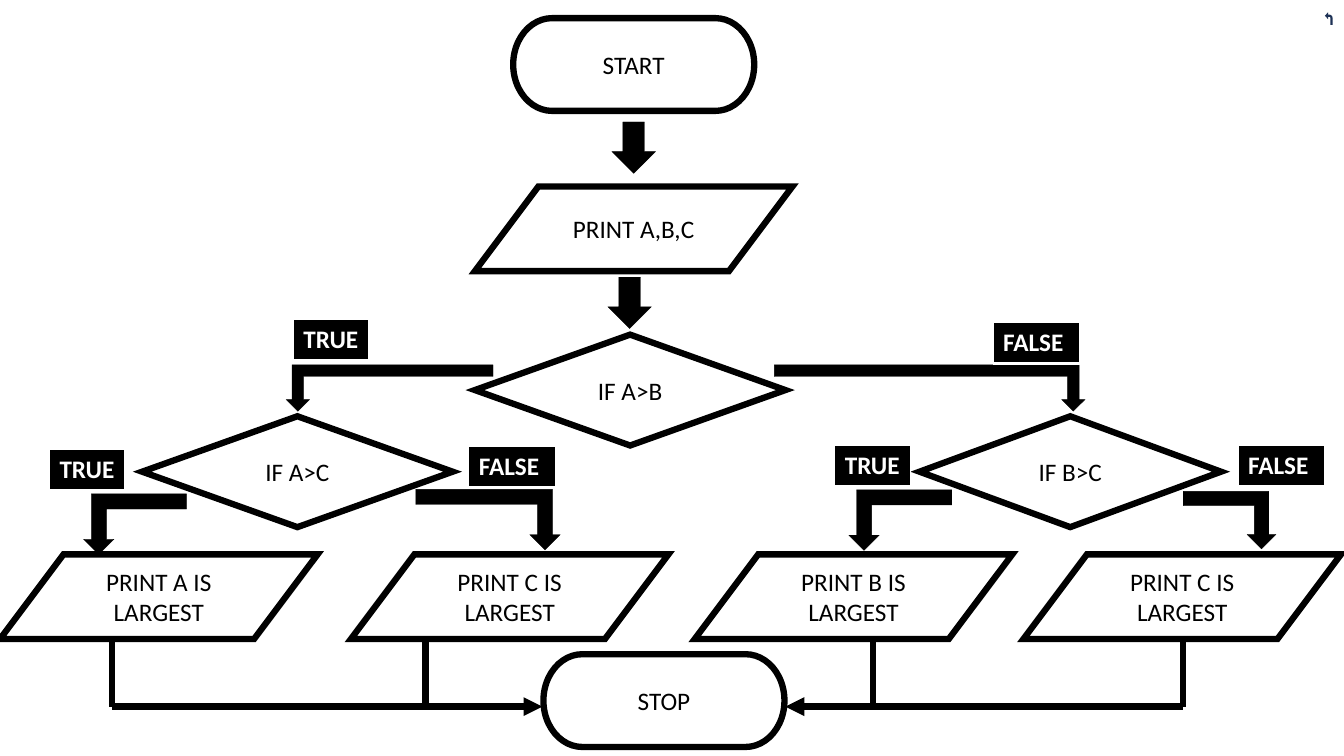
from typing import NamedTuple

from lxml.etree import SubElement
from pptx import Presentation
from pptx.dml.color import RGBColor
from pptx.enum.shapes import MSO_CONNECTOR, MSO_SHAPE
from pptx.enum.text import MSO_ANCHOR, PP_ALIGN
from pptx.oxml.ns import qn
from pptx.util import Emu, Pt

SCALE = 9144  # EMU in one px, 100 px to the inch
BLACK, WHITE = "000000", "FFFFFF"
BLUE, NAVY = "4472C4", "1E3256"
FONT = "Calibri"

END = MSO_SHAPE.FLOWCHART_TERMINATOR
DATA = MSO_SHAPE.FLOWCHART_DATA
TEST = MSO_SHAPE.FLOWCHART_DECISION
DOWN = MSO_SHAPE.DOWN_ARROW
BENT = MSO_SHAPE.BENT_ARROW
BENT_UP = MSO_SHAPE.BENT_UP_ARROW
SHARP = (0.25, 0.25, 0.25, 0)

BOX = {END: (239, 92), DATA: (315, 84), TEST: (308, 110)}
WIDTH = {"TRUE": 75, "FALSE": 86}
RAIL, BASE = 701, 634  # height of the line into STOP, foot of the outputs


class Node(NamedTuple):
    kind: MSO_SHAPE
    left: int
    top: int
    text: str
    wide: int = 0


class Arrow(NamedTuple):
    kind: MSO_SHAPE
    left: int
    top: int
    wide: int
    high: int
    turn: int = 0
    adjust: tuple = ()
    fill: str = BLACK
    line: str = BLACK
    weight: float = 0.25
    flip: bool = False


class Wire(NamedTuple):
    start: tuple
    stop: tuple
    head: bool = False


class Label(NamedTuple):
    left: int
    top: int
    text: str


NODES = [
    Node(END, 509, 18, "START"),
    Node(DATA, 471, 185, "PRINT A,B,C"),
    Node(TEST, 471, 332, "IF A>B"),
    Node(TEST, 912, 413, "IF B>C", 299),
    Node(TEST, 141, 413, "IF A>C"),
    Node(DATA, 348, 550, "PRINT C IS LARGEST"),
    Node(DATA, 0, 550, "PRINT A IS LARGEST"),
    Node(DATA, 1015, 550, "PRINT C IS LARGEST"),
    Node(DATA, 689, 550, "PRINT B IS LARGEST"),
    Node(END, 539, 649, "STOP"),
]
ARROWS = [
    Arrow(DOWN, 607, 121, 43, 51),
    Arrow(DOWN, 603, 275, 43, 51),
    Arrow(BENT_UP, 842, 486, 102, 60, 180),
    Arrow(BENT_UP, 83, 490, 102, 60, 180),
    Arrow(BENT_UP, 284, 362, 205, 46, 180),
    Arrow(BENT, 899, 231, 46, 308, 90, SHARP),
    Arrow(BENT, 1191, 470, 57, 92, 90, SHARP),
    Arrow(BENT, 454, 444, 60, 143, 90, SHARP),
    Arrow(BENT, 1315, 14, 6, 10, 180, (0.137, 0.275, 0.25, 0.438),
          BLUE, NAVY, 1, True),
]
WIRES = [Wire((x, BASE), (x, RAIL)) for x in (111, 422, 866, 1173)] + [
    Wire((111, RAIL), (538, RAIL), True),
    Wire((1173, RAIL), (779, RAIL), True),
]
LABELS = [
    Label(291, 317, "TRUE"),
    Label(985, 320, "FALSE"),
    Label(49, 446, "TRUE"),
    Label(828, 442, "TRUE"),
    Label(465, 443, "FALSE"),
    Label(1228, 442, "FALSE"),
]


def px(*sizes: int) -> list:
    return [Emu(size * SCALE) for size in sizes]


def tint(code: str) -> RGBColor:
    return RGBColor.from_string(code)


def write(frame, text: str, *, color=BLACK, bold=False, align=PP_ALIGN.CENTER):
    frame.word_wrap = True
    para = frame.paragraphs[0]
    para.alignment = align
    run = para.add_run()
    run.text = text
    font = run.font
    font.name, font.size, font.bold = FONT, Pt(18), bold
    font.color.rgb = tint(color)


def stroke(item, color: str, weight: float):
    """Set a solid line with sharp corners and return its XML."""
    item.line.color.rgb = tint(color)
    item.line.width = Pt(weight)
    edge = item.element.spPr.find(qn("a:ln"))
    SubElement(edge, qn("a:miter"), lim="800000")
    return edge


def add_form(shapes, kind, box: tuple, fill: str, line: str, weight: float):
    form = shapes.add_shape(kind, *px(*box))
    form.shadow.inherit = False
    form.fill.solid()
    form.fill.fore_color.rgb = tint(fill)
    stroke(form, line, weight)
    return form


def add_node(shapes, node: Node):
    wide, high = BOX[node.kind]
    box = (node.left, node.top, node.wide or wide, high)
    form = add_form(shapes, node.kind, box, WHITE, BLACK, 4.5)
    form.text_frame.vertical_anchor = MSO_ANCHOR.MIDDLE
    write(form.text_frame, node.text)


def add_arrow(shapes, arrow: Arrow):
    box = (arrow.left, arrow.top, arrow.wide, arrow.high)
    form = add_form(shapes, arrow.kind, box, arrow.fill, arrow.line, arrow.weight)
    form.rotation = arrow.turn
    for spot, value in enumerate(arrow.adjust):
        form.adjustments[spot] = value
    if arrow.flip:
        form.element.spPr.find(qn("a:xfrm")).set("flipV", "1")


def add_wire(shapes, wire: Wire):
    link = shapes.add_connector(MSO_CONNECTOR.STRAIGHT, *px(*wire.start, *wire.stop))
    edge = stroke(link, BLACK, 4.5)
    if wire.head:
        SubElement(edge, qn("a:tailEnd"), type="triangle")
    SubElement(link.element.spPr, qn("a:effectLst"))


def add_label(shapes, label: Label):
    box = px(label.left, label.top, WIDTH[label.text], 40)
    cell = shapes.add_table(1, 1, *box).table.cell(0, 0)
    write(cell.text_frame, label.text, color=WHITE, bold=True, align=PP_ALIGN.LEFT)
    cell.fill.solid()
    cell.fill.fore_color.rgb = tint(BLACK)
    props = cell.text_frame._txBody.getparent().find(qn("a:tcPr"))
    for spot, (side, weight) in enumerate(zip("LRTB", (1, 1, 1, 3))):
        edge = SubElement(props, qn(f"a:ln{side}"), w=str(Pt(weight)))
        paint = SubElement(edge, qn("a:solidFill"))
        SubElement(paint, qn("a:srgbClr"), val=WHITE)
        props.insert(spot, edge)


def main():
    deck = Presentation()
    deck.slide_width, deck.slide_height = px(1333, 750)
    shapes = deck.slides.add_slide(deck.slide_layouts[6]).shapes
    for draw, items in (
        (add_node, NODES),
        (add_arrow, ARROWS),
        (add_wire, WIRES),
        (add_label, LABELS),
    ):
        for item in items:
            draw(shapes, item)
    deck.save("out.pptx")


if __name__ == "__main__":
    main()
